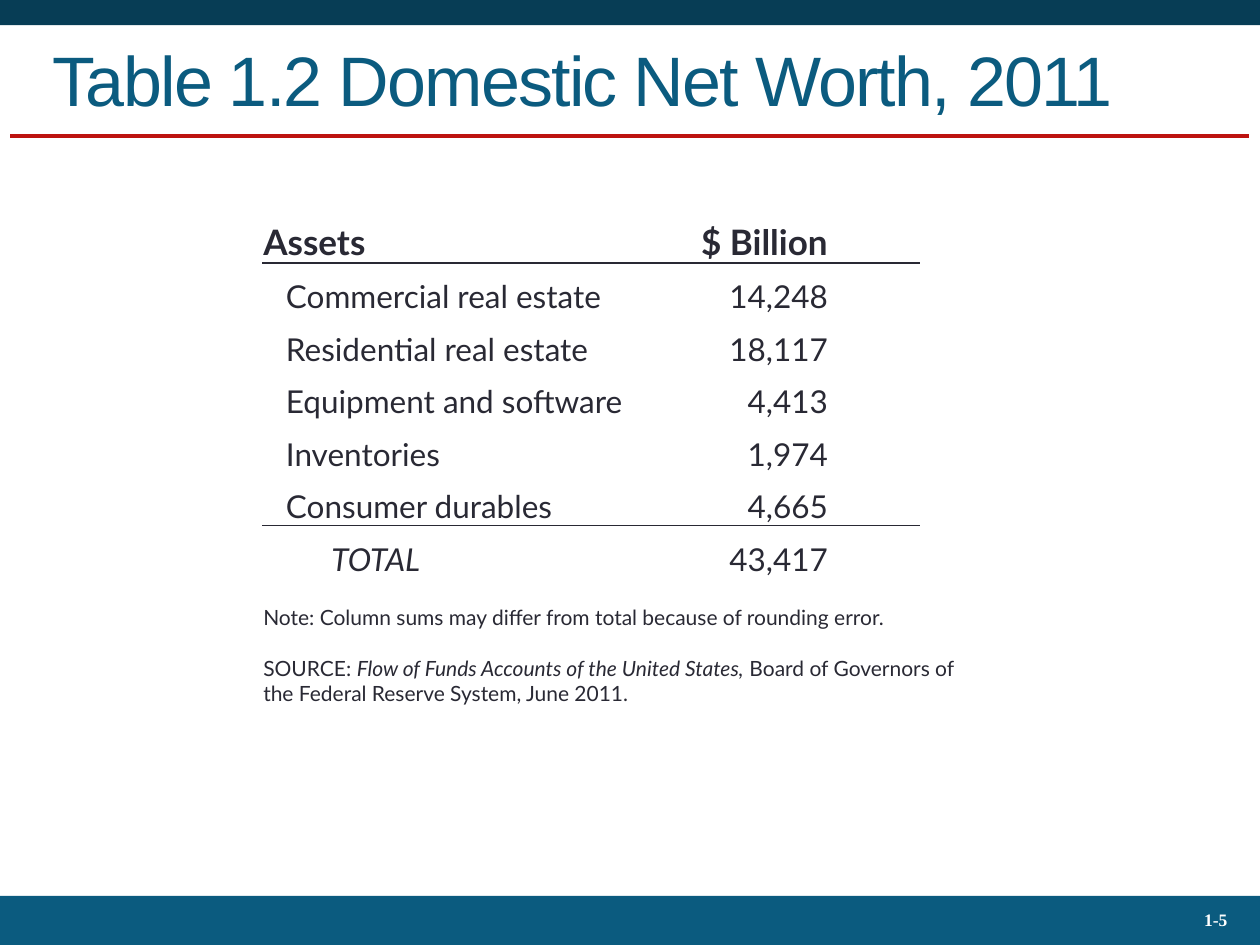
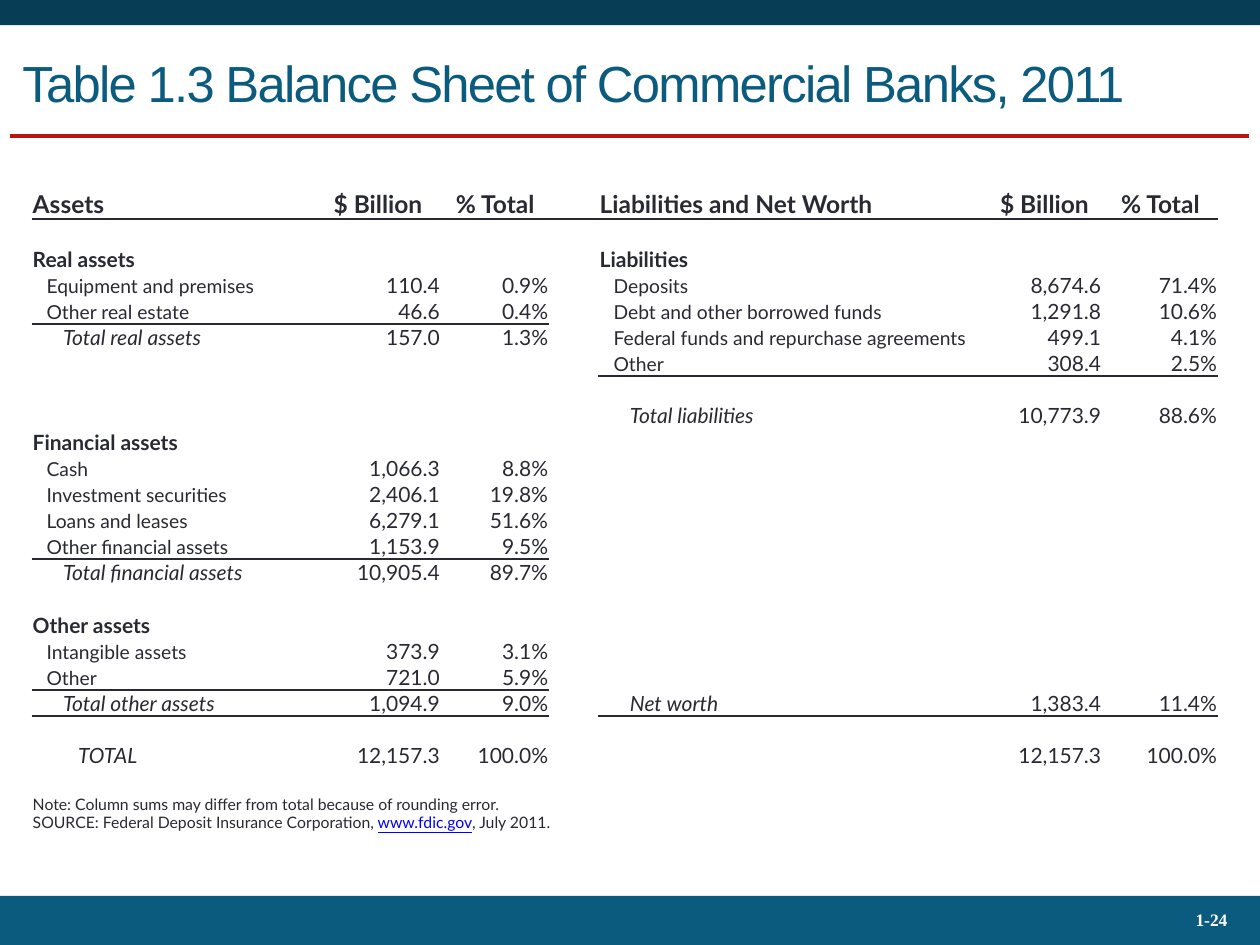
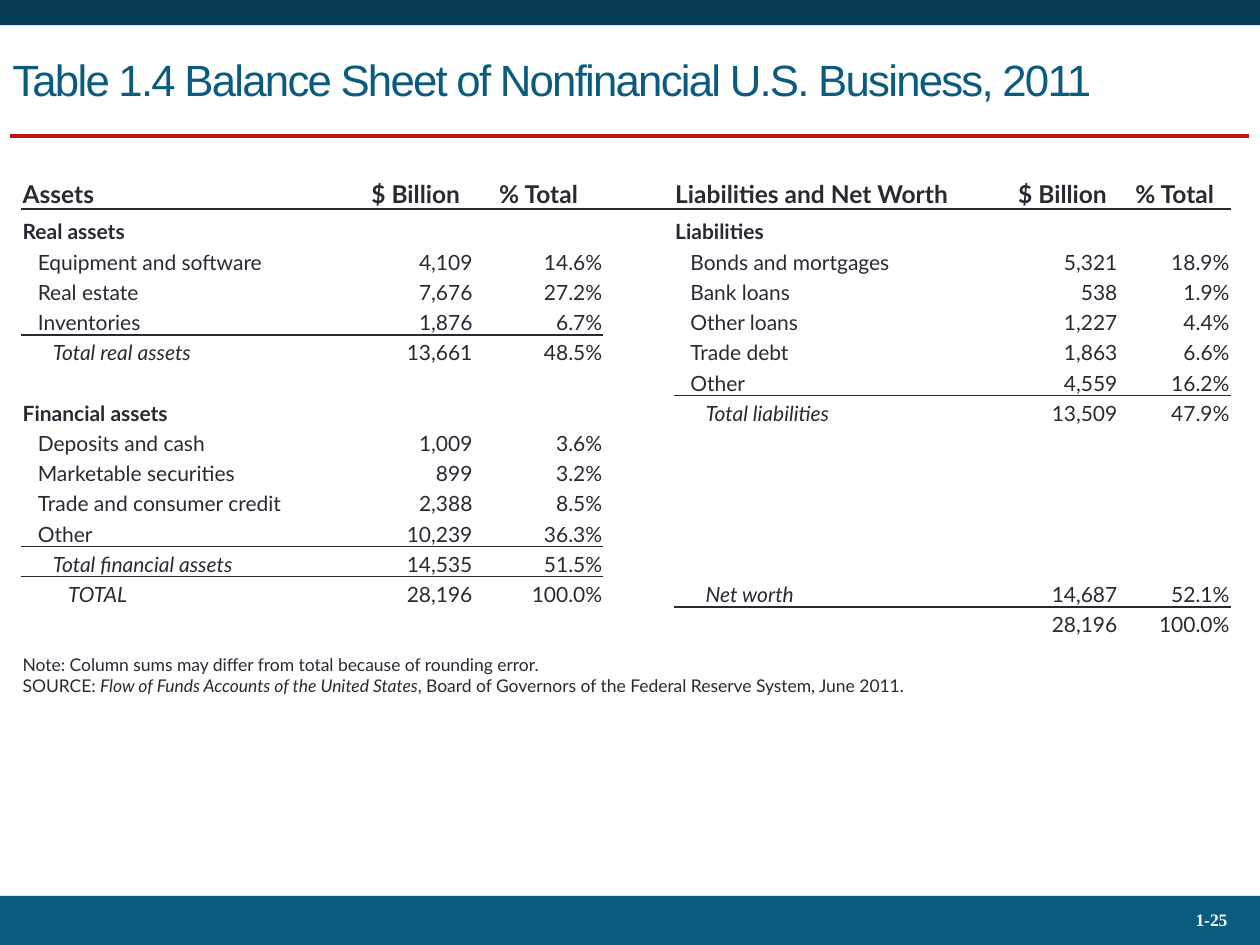
from lxml import etree
from pptx import Presentation
from pptx import util as u
from pptx.dml.color import RGBColor
from pptx.enum import shapes, text
from pptx.oxml.ns import qn

WIDE, HIGH = 10, 7.5
NAVY, TEAL, RED, INK, BLUE, WHITE = "073D55", "0B5B7F", "BD130F", "292934", "0000FF", "FFFFFF"
HEAD, BODY, PAGE = "Arial", "Lato", "Times New Roman"
LEFT, MID, RIGHT = text.PP_ALIGN.LEFT, text.PP_ALIGN.CENTER, text.PP_ALIGN.RIGHT
PLAIN = "{2D5ABB26-0587-4C30-8999-92F81FD0307C}"
NOTE = [("Note: Column sums may differ from total because of rounding error.", "")]
FLOW = "Flow of Funds Accounts of the United States"


def tint(code):
    return RGBColor.from_string(code)


def write(para, words, size, face=BODY, color=INK, style=""):
    run = para.add_run()
    run.text = words
    font = run.font
    font.size, font.name = u.Pt(size), face
    font.bold, font.italic = "b" in style, "i" in style
    font.underline = "u" in style
    font.color.rgb = tint(color)
    return run


def band(slide, top, tall, color):
    bar = slide.shapes.add_shape(
        shapes.MSO_SHAPE.RECTANGLE, 0, u.Inches(top), u.Inches(WIDE), u.Inches(tall))
    bar.shadow.inherit = False
    bar.fill.solid()
    bar.fill.fore_color.rgb = tint(color)
    bar.line.fill.background()


def rule(slide, y, start, end):
    line = slide.shapes.add_connector(
        shapes.MSO_CONNECTOR.STRAIGHT, u.Inches(start), u.Inches(y), u.Inches(end), u.Inches(y))
    line.line.color.rgb = tint(RED)
    line.line.width = u.Pt(2.25)
    etree.SubElement(line._element.spPr, qn("a:effectLst"))


def label(slide, area):
    frame = slide.shapes.add_textbox(*map(u.Inches, area)).text_frame
    frame.word_wrap = True
    frame.vertical_anchor = text.MSO_ANCHOR.MIDDLE
    return frame.paragraphs[0]


def start(deck, title, size, area, page):
    slide = deck.slides.add_slide(deck.slide_layouts[6])
    band(slide, 0, 0.2, NAVY)
    rule(slide, 1.08, 0.08, 9.91)
    band(slide, 7.11, HIGH - 7.11, TEAL)
    para = label(slide, (8.67, 7.13, 1.17, 0.36))
    para.alignment, para.line_spacing = RIGHT, 0.93
    write(para, page, 10, PAGE, WHITE, "b")
    run = write(label(slide, area), title, size, HEAD, TEAL)
    run.font._element.set("spc", "-100")
    return slide


def grid(slide, left, top, cols, rows):
    table = slide.shapes.add_table(
        len(rows), len(cols), u.Inches(left), u.Inches(top),
        u.Inches(sum(cols)), u.Inches(sum(rows))).table
    table._tbl.tblPr.find(qn("a:tableStyleId")).text = PLAIN
    table.first_row = table.horz_banding = False
    for col, wide in zip(table.columns, cols):
        col.width = u.Inches(wide)
    for row, tall in zip(table.rows, rows):
        row.height = u.Inches(tall)
        for cell in row.cells:
            cell.margin_left = cell.margin_right = u.Inches(0.01)
            cell.margin_top = cell.margin_bottom = 0
            cell.vertical_anchor = text.MSO_ANCHOR.BOTTOM
            cell.fill.background()
            cell.text_frame.paragraphs[0]._p.get_or_add_endParaRPr().set("sz", "900")
    return table


def under(table, row, first, last):
    for col in range(first, last + 1):
        edge = etree.Element(qn("a:lnB"), w=str(u.Pt(1)))
        fill = etree.SubElement(edge, qn("a:solidFill"))
        etree.SubElement(fill, qn("a:srgbClr"), val=INK)
        table.cell(row, col)._tc.get_or_add_tcPr().insert(0, edge)


def put(cell, words, size, style="", align=LEFT, level=0):
    para = cell.text_frame.paragraphs[0]
    para.alignment = align
    if level:
        props = para._p.get_or_add_pPr()
        props.set("marL", str(u.Inches(level * size * 0.01)))
        props.set("indent", "0")
    write(para, words, size, style=style)


def join(table, row, first, last):
    cell = table.cell(row, first)
    if last > first:
        cell.merge(table.cell(row, last))
    return cell


def header(table, names, col, figs, size, align):
    put(join(table, 0, col, figs - 1), names[0], size, "b")
    for step, name in enumerate(names[1:]):
        put(table.cell(0, figs + step), name, size, "b", align)


def side(table, lines, col, figs, size, small):
    for row, line in lines.items():
        level, name, *vals = line
        if name:
            style = ("b", "", "i", "i")[level]
            put(join(table, row, col, figs - 1), name,
                small if level == 1 else size, style, level=level)
        for step, val in enumerate(vals):
            put(table.cell(row, figs + step), val, size, align=RIGHT)


def notes(table, row, paras, size):
    frame = join(table, row, 0, len(table.columns) - 1).text_frame
    for count, runs in enumerate(paras):
        para = frame.add_paragraph() if count else frame.paragraphs[0]
        for words, style in runs:
            write(para, words, size, color=BLUE if "u" in style else INK, style=style)


def lines(first, *items):
    return dict(enumerate(items, first))


def worth(deck):
    slide = start(deck, "Table 1.2 Domestic Net Worth, 2011", 40, (0.32, 0.17, 9.37, 0.91), "1-5")
    table = grid(slide, 2.08, 1.67, [1.48, 1.58, 1.44, 0.72, 0.45], [5 / 12] * 8 + [0.6])
    header(table, ("Assets", "$ Billion"), 0, 2, 20, RIGHT)
    side(table, lines(
        1,
        (1, "Commercial real estate", "14,248"),
        (1, "Residential real estate", "18,117"),
        (1, "Equipment and software", "4,413"),
        (1, "Inventories", "1,974"),
        (1, "Consumer durables", "4,665"),
        (3, "TOTAL", "43,417")), 0, 2, 18, 18)
    for row in (0, 5):
        under(table, row, 0, 3)
    notes(table, 7, [NOTE], 12)
    notes(table, 8, [[("SOURCE: ", ""), (FLOW + ",", "i"),
                      (" Board of Governors of the Federal Reserve System, June 2011.", "")]], 12)


def sheet(table, left, right, figs, col, more, small):
    last = len(table.columns) - 1
    heads = ("$ Billion", "% Total")
    header(table, ("Assets", *heads), 0, figs, 14, MID)
    header(table, ("Liabilities and Net Worth", *heads), col, more, 14, MID)
    under(table, 0, 0, last)
    for items, first, nums in ((left, 0, figs), (right, col, more)):
        parts, rows = items
        side(table, parts, first, nums, 12, small)
        for row in rows:
            under(table, row, first, nums + 1)


def banks(deck):
    slide = start(deck, "Table 1.3 Balance Sheet of Commercial Banks, 2011", 29,
                  (0.08, 0.2, 9.92, 0.91), "1-24")
    tall, top, foot, count = 5.11, 0.24, 0.3, 22
    rows = [top] + [(tall - top - foot) / count] * count + [foot]
    table = grid(slide, 0.25, 1.5, [2.25, 1, 0.86, 0.39, 3.08, 0.92, 0.92], rows)
    assets = lines(
        2,
        (0, "Real assets"),
        (1, "Equipment and premises", "110.4", "0.9%"),
        (1, "Other real estate", "46.6", "0.4%"),
        (2, "Total real assets", "157.0", "1.3%")) | lines(
        9,
        (0, "Financial assets"),
        (1, "Cash", "1,066.3", "8.8%"),
        (1, "Investment securities", "2,406.1", "19.8%"),
        (1, "Loans and leases", "6,279.1", "51.6%"),
        (1, "Other financial assets", "1,153.9", "9.5%"),
        (2, "Total financial assets", "10,905.4", "89.7%")) | lines(
        16,
        (0, "Other assets"),
        (1, "Intangible assets", "373.9", "3.1%"),
        (1, "Other", "721.0", "5.9%"),
        (2, "Total other assets", "1,094.9", "9.0%")) | lines(
        21, (3, "TOTAL", "12,157.3", "100.0%"))
    debts = lines(
        2,
        (0, "Liabilities"),
        (1, "Deposits", "8,674.6", "71.4%"),
        (1, "Debt and other borrowed funds", "1,291.8", "10.6%"),
        (1, "Federal funds and repurchase agreements", "499.1", "4.1%"),
        (1, "Other", "308.4", "2.5%")) | {
        8: (2, "Total liabilities", "10,773.9", "88.6%"),
        19: (2, "Net worth", "1,383.4", "11.4%"),
        21: (3, "", "12,157.3", "100.0%")}
    sheet(table, (assets, (4, 13, 18, 19)), (debts, (6, 19)), 1, 4, 5, 11)
    notes(table, 23, [NOTE, [("SOURCE: Federal Deposit Insurance Corporation, ", ""),
                             ("www.fdic.gov", "u"), (", July 2011.", "")]], 9)


def firms(deck):
    slide = start(deck, "Table 1.4 Balance Sheet of Nonfinancial U.S. Business, 2011", 25,
                  (0, 0.17, 10, 0.91), "1-25")
    cols = [1.52, 1.15, 0.92, 1.03, 0.56, 1.22, 0.89, 0.31, 0.22, 0.89, 0.89]
    table = grid(slide, 0.17, 1.33, cols, [0.33, 0.28] + [0.24] * 13 + [0.47])
    assets = lines(
        1,
        (0, "Real assets"),
        (1, "Equipment and software", "4,109", "14.6%"),
        (1, "Real estate", "7,676", "27.2%"),
        (1, "Inventories", "1,876", "6.7%"),
        (2, "Total real assets", "13,661", "48.5%")) | lines(
        7,
        (0, "Financial assets"),
        (1, "Deposits and cash", "1,009", "3.6%"),
        (1, "Marketable securities", "899", "3.2%"),
        (1, "Trade and consumer credit", "2,388", "8.5%"),
        (1, "Other", "10,239", "36.3%"),
        (2, "Total financial assets", "14,535", "51.5%"),
        (3, "TOTAL", "28,196", "100.0%"))
    debts = lines(
        1,
        (0, "Liabilities"),
        (1, "Bonds and mortgages", "5,321", "18.9%"),
        (1, "Bank loans", "538", "1.9%"),
        (1, "Other loans", "1,227", "4.4%"),
        (1, "Trade debt", "1,863", "6.6%"),
        (1, "Other", "4,559", "16.2%"),
        (2, "Total liabilities", "13,509", "47.9%")) | lines(
        13,
        (2, "Net worth", "14,687", "52.1%"),
        (3, "", "28,196", "100.0%"))
    sheet(table, (assets, (4, 11, 12)), (debts, (6, 13)), 2, 5, 9, 12)
    notes(table, 15, [NOTE, [("SOURCE: ", ""), (FLOW, "i"),
                             (", Board of Governors of the Federal Reserve System, June 2011.", "")]], 10)


def main():
    deck = Presentation()
    deck.slide_width, deck.slide_height = u.Inches(WIDE), u.Inches(HIGH)
    worth(deck)
    banks(deck)
    firms(deck)
    deck.save("out.pptx")


if __name__ == "__main__":
    main()
